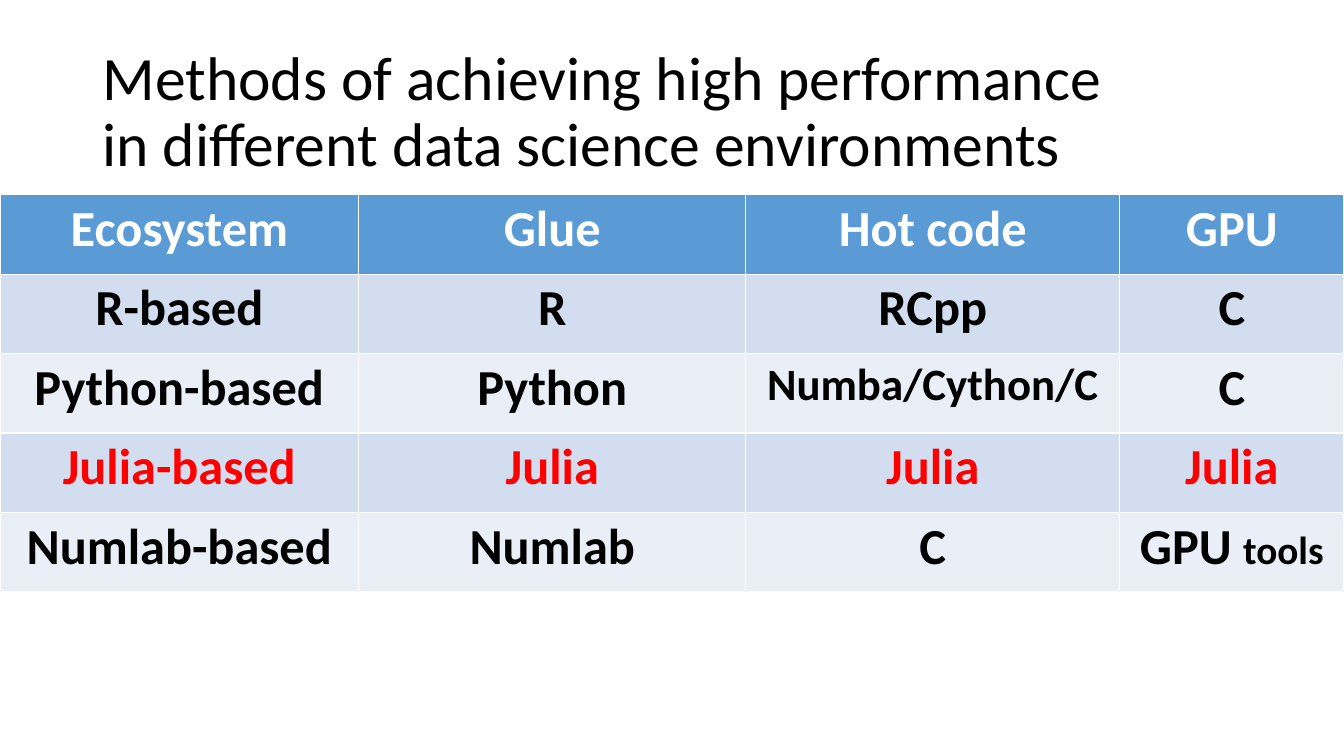
import pptx
import pptx.dml.color
import pptx.enum.text
import pptx.util

Pt = pptx.util.Pt
RGBColor = pptx.dml.color.RGBColor
Align = pptx.enum.text.PP_ALIGN
Anchor = pptx.enum.text.MSO_ANCHOR

BLACK = RGBColor(0x00, 0x00, 0x00)
WHITE = RGBColor(0xFF, 0xFF, 0xFF)
RED = RGBColor(0xFF, 0x00, 0x00)
HEADER_BLUE = RGBColor(0x5B, 0x9B, 0xD5)
BAND_DARK = RGBColor(0xD2, 0xDE, 0xEF)
BAND_LIGHT = RGBColor(0xEA, 0xEF, 0xF7)

COLUMN_WIDTHS = [256.3, 276.5, 267.1, 160.1]
ROW_HEIGHT = 56.8
HIGHLIGHTED = "Julia-based"

# Each cell is a list of (text, size) spans or a plain string at the default size
ENVIRONMENTS = [
    ["Ecosystem", "Glue", "Hot code", "GPU"],
    ["R-based", "R", "RCpp", "C"],
    ["Python-based", "Python", [("Numba/Cython/C", 32)], "C"],
    ["Julia-based", "Julia", "Julia", "Julia"],
    ["Numlab-based", "Numlab", "C", [("GPU ", 36), ("tools", 28)]],
]


class SlideBuilder:
    """Holds the text style and the slide being filled."""

    font_name = "Calibri"
    title_size = 44
    cell_size = 36

    def __init__(self, deck):
        self.slide = deck.slides.add_slide(deck.slide_layouts[5])

    def format_span(self, span, size, color, bold=False):
        span.font.name = self.font_name
        span.font.size = Pt(size)
        span.font.color.rgb = color
        span.font.bold = bold

    def title(self, text, left, top, width, height):
        box = self.slide.shapes.title
        box.left, box.top, box.width, box.height = map(Pt, (left, top, width, height))
        frame = box.text_frame
        frame.text = text
        frame.auto_size = pptx.enum.text.MSO_AUTO_SIZE.NONE
        frame.vertical_anchor = Anchor.MIDDLE
        para = frame.paragraphs[0]
        para.alignment = Align.LEFT
        para.line_spacing = 0.9
        for span in para.runs:
            self.format_span(span, self.title_size, BLACK)

    def cell(self, cell, content, fill, color):
        cell.fill.solid()
        cell.fill.fore_color.rgb = fill
        cell.margin_left = cell.margin_right = Pt(5.4)
        cell.margin_top = cell.margin_bottom = Pt(2.7)
        para = cell.text_frame.paragraphs[0]
        para.alignment = Align.CENTER
        spans = [(content, self.cell_size)] if isinstance(content, str) else content
        for text, size in spans:
            span = para.add_run()
            span.text = text
            self.format_span(span, size, color, bold=True)

    def table(self, rows, left, top, widths, row_height):
        frame = self.slide.shapes.add_table(
            len(rows), len(widths), Pt(left), Pt(top),
            Pt(sum(widths)), Pt(row_height * len(rows)))
        table = frame.table
        for column, width in zip(table.columns, widths):
            column.width = Pt(width)
        for index, contents in enumerate(rows):
            table.rows[index].height = Pt(row_height)
            if index == 0:
                fill, color = HEADER_BLUE, WHITE
            else:
                fill = BAND_DARK if index % 2 else BAND_LIGHT
                color = RED if contents[0] == HIGHLIGHTED else BLACK
            for position, content in enumerate(contents):
                self.cell(table.cell(index, position), content, fill, color)


def main():
    deck = pptx.Presentation()
    deck.slide_width, deck.slide_height = Pt(960), Pt(540)
    page = SlideBuilder(deck)

    # Title
    page.title("Methods of achieving high performance\v"
               "in different data science environments", 66, 28.75, 828, 104.4)

    # Comparison of environments
    page.table(ENVIRONMENTS, 0, 139, COLUMN_WIDTHS, ROW_HEIGHT)

    deck.save("out.pptx")


if __name__ == "__main__":
    main()
